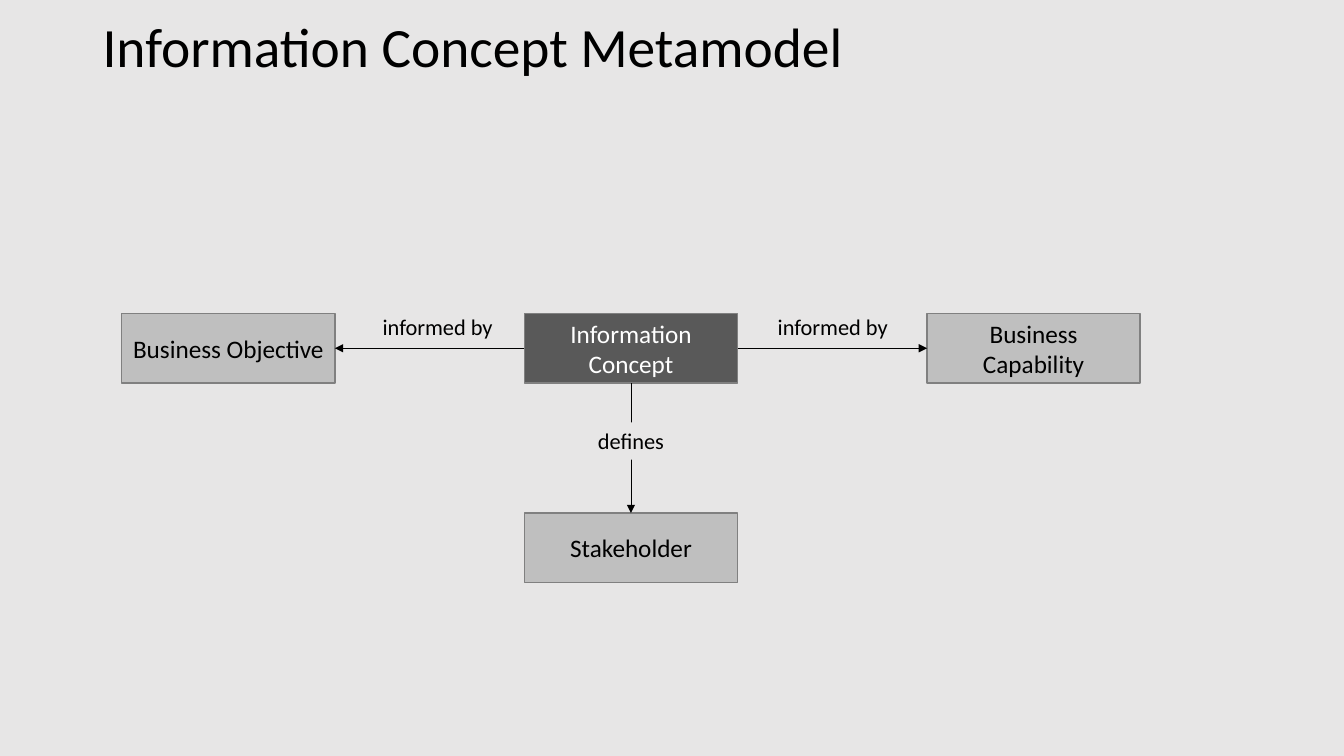
from lxml.etree import SubElement
from pptx import Presentation
from pptx.dml.color import RGBColor
from pptx.enum.shapes import MSO_CONNECTOR, MSO_SHAPE
from pptx.enum.text import MSO_ANCHOR, PP_ALIGN
from pptx.oxml.ns import qn
from pptx.util import Pt

BACKGROUND = RGBColor(0xE7, 0xE6, 0xE6)
DARK_GRAY = RGBColor(0x59, 0x59, 0x59)
LIGHT_GRAY = RGBColor(0xBF, 0xBF, 0xBF)
OUTLINE = RGBColor(0x80, 0x80, 0x80)
BLACK = RGBColor(0, 0, 0)
WHITE = RGBColor(0xFF, 0xFF, 0xFF)
FONT = "Calibri"
TOP, LEFT, BOTTOM, RIGHT = range(4)
BOX_WIDTH, BOX_HEIGHT = 152.2, 49.7
COLUMN_PITCH, ROW_PITCH = 287.6, 142.6
LABEL_HEIGHT = 26.6


def write_text(shape, text, size, color, alignment, anchor):
    """Fill a shape with one formatted run of text and return its paragraph."""
    frame = shape.text_frame
    frame.word_wrap = True
    frame.vertical_anchor = anchor
    paragraph = frame.paragraphs[0]
    paragraph.alignment = alignment
    run = paragraph.add_run()
    run.text = text
    run.font.name = FONT
    run.font.size = Pt(size)
    run.font.color.rgb = color
    return paragraph


def add_title(slide, left, top, width, height, text):
    """Place the slide title in the given box."""
    shape = slide.shapes.add_textbox(Pt(left), Pt(top), Pt(width), Pt(height))
    paragraph = write_text(shape, text, 39.6, BLACK, PP_ALIGN.LEFT, MSO_ANCHOR.MIDDLE)
    paragraph.line_spacing = 0.9


def add_rectangle(slide, left, top, width, height, fill):
    """Add a flat filled rectangle without outline."""
    shape = slide.shapes.add_shape(MSO_SHAPE.RECTANGLE, Pt(left), Pt(top), Pt(width), Pt(height))
    shape.shadow.inherit = False
    shape.fill.solid()
    shape.fill.fore_color.rgb = fill
    shape.line.fill.background()
    return shape


def add_entity(slide, left, top, text, fill=LIGHT_GRAY, color=BLACK):
    """Add one outlined entity of the metamodel."""
    shape = add_rectangle(slide, left, top, BOX_WIDTH, BOX_HEIGHT, fill)
    shape.line.color.rgb = OUTLINE
    shape.line.width = Pt(1)
    write_text(shape, text, 18, color, PP_ALIGN.CENTER, MSO_ANCHOR.MIDDLE)
    return shape


def add_label(slide, left, top, width, text):
    """Add a relation label that masks whatever lies behind it."""
    shape = add_rectangle(slide, left, top, width, LABEL_HEIGHT, BACKGROUND)
    write_text(shape, text, 16, BLACK, PP_ALIGN.CENTER, MSO_ANCHOR.TOP)


def add_arrow(slide, source, source_side, target, target_side):
    """Join two entities with a thin arrow pointing at the target."""
    connector = slide.shapes.add_connector(MSO_CONNECTOR.STRAIGHT, 0, 0, 0, 0)
    connector.begin_connect(source, source_side)
    connector.end_connect(target, target_side)
    connector.line.color.rgb = BLACK
    connector.line.width = Pt(0.5)
    SubElement(connector.line._get_or_add_ln(), qn("a:tailEnd"), type="triangle")
    SubElement(connector._element.spPr, qn("a:effectLst"))


def add_metamodel(slide, left, top):
    """Draw the entities and their relations from the given top left corner."""
    center = left + COLUMN_PITCH
    concept = add_entity(slide, center, top, "Information Concept", DARK_GRAY, WHITE)
    objective = add_entity(slide, left, top, "Business Objective")
    capability = add_entity(slide, center + COLUMN_PITCH, top, "Business Capability")
    stakeholder = add_entity(slide, center, top + ROW_PITCH, "Stakeholder")

    add_arrow(slide, concept, LEFT, objective, RIGHT)
    add_arrow(slide, concept, RIGHT, capability, LEFT)
    add_arrow(slide, concept, BOTTOM, stakeholder, TOP)

    add_label(slide, left + 173.8, top - 3.5, 103.7, "informed by")
    add_label(slide, center + 172, top - 3.5, 96.5, "informed by")
    add_label(slide, center + 21.4, top + 77.8, 109.4, "defines")


def main():
    """Build and save the presentation."""
    presentation = Presentation()
    presentation.slide_width, presentation.slide_height = Pt(960), Pt(540)
    slide = presentation.slides.add_slide(presentation.slide_layouts[6])
    slide.background.fill.solid()
    slide.background.fill.fore_color.rgb = BACKGROUND
    add_title(slide, 66.2, 14.4, 748.8, 41.8, "Information Concept Metamodel")
    add_metamodel(slide, 87, 223.9)
    presentation.save("out.pptx")


if __name__ == "__main__":
    main()
